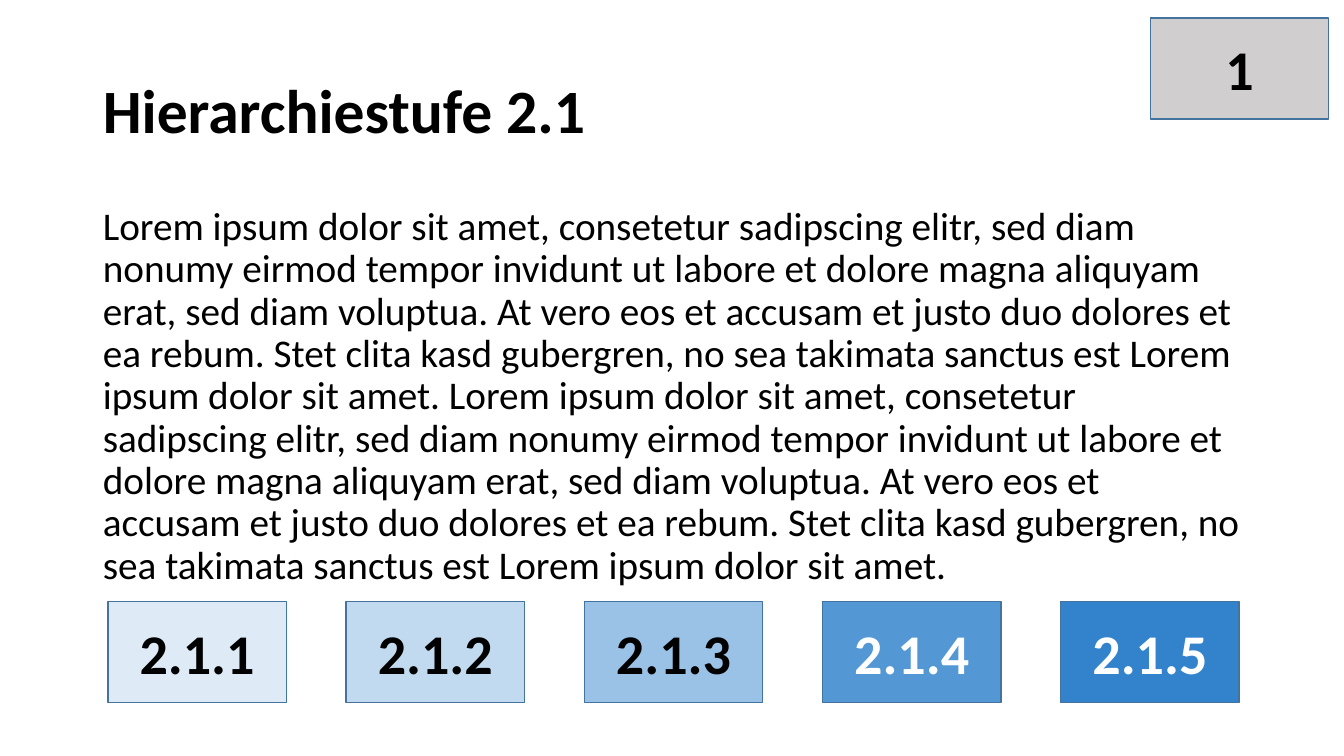
from pptx import Presentation
from pptx.dml.color import RGBColor
from pptx.enum import shapes, text
from pptx.oxml import ns
from pptx.util import Inches, Pt
from lxml import etree

FONT = "Calibri"
BLACK = RGBColor(0x00, 0x00, 0x00)
WHITE = RGBColor(0xFF, 0xFF, 0xFF)
GREY = RGBColor(0xD0, 0xCE, 0xCE)
OUTLINE = RGBColor(0x43, 0x73, 0x9E)
LEVELS = [
    (RGBColor(0xDE, 0xEB, 0xF7), BLACK),
    (RGBColor(0xC2, 0xDA, 0xF0), BLACK),
    (RGBColor(0x9A, 0xC2, 0xE6), BLACK),
    (RGBColor(0x53, 0x97, 0xD5), WHITE),
    (RGBColor(0x32, 0x83, 0xCC), WHITE),
]
LEVEL_LEFT, LEVEL_TOP, LEVEL_PITCH = 1.07, 5.97, 2.3625
BOX_WIDTH, BOX_HEIGHT = 1.77, 1

SECTION = "2.1"
LOREM = (
    "Lorem ipsum dolor sit amet, consetetur sadipscing elitr, sed diam nonumy "
    "eirmod tempor invidunt ut labore et dolore magna aliquyam erat, sed diam "
    "voluptua. At vero eos et accusam et justo duo dolores et ea rebum. Stet "
    "clita kasd gubergren, no sea takimata sanctus est Lorem ipsum dolor sit amet."
)


def write(frame, wording, size, color, bold, align):
    frame.text = wording
    frame.word_wrap = True
    frame.auto_size = text.MSO_AUTO_SIZE.NONE
    paragraph = frame.paragraphs[0]
    paragraph.alignment = align
    font = paragraph.runs[0].font
    font.name, font.size, font.bold = FONT, Pt(size), bold
    font.color.rgb = color
    return paragraph


def fill_placeholder(holder, top, height, wording, size, bold, anchor):
    holder.left, holder.top = Inches(0.92), Inches(top)
    holder.width, holder.height = Inches(11.5), Inches(height)
    paragraph = write(holder.text_frame, wording, size, BLACK, bold, text.PP_ALIGN.LEFT)
    holder.text_frame.vertical_anchor = anchor
    paragraph.line_spacing = 0.9
    return paragraph


def remove_bullet(paragraph):
    properties = paragraph._p.get_or_add_pPr()
    properties.set("marL", "0")
    properties.set("indent", "0")
    etree.SubElement(properties, ns.qn("a:buNone"))


def add_box(slide, left, top, label, fill, color):
    box = slide.shapes.add_shape(
        shapes.MSO_SHAPE.RECTANGLE,
        Inches(left), Inches(top), Inches(BOX_WIDTH), Inches(BOX_HEIGHT),
    )
    box.shadow.inherit = False
    box.fill.solid()
    box.fill.fore_color.rgb = fill
    box.line.color.rgb = OUTLINE
    box.line.width = Pt(1)
    write(box.text_frame, label, 40, color, True, text.PP_ALIGN.CENTER)
    box.text_frame.vertical_anchor = text.MSO_ANCHOR.MIDDLE


def main():
    deck = Presentation()
    deck.slide_width, deck.slide_height = Inches(13.33), Inches(7.5)
    slide = deck.slides.add_slide(deck.slide_layouts[1])

    fill_placeholder(slide.shapes.title, 0.4, 1.45, f"Hierarchiestufe {SECTION}",
                     44, True, text.MSO_ANCHOR.MIDDLE)
    description = fill_placeholder(slide.placeholders[1], 2, 4.76, f"{LOREM} {LOREM}",
                                   28, False, text.MSO_ANCHOR.TOP)
    description.space_before = Pt(10)
    remove_bullet(description)

    for index, (fill, color) in enumerate(LEVELS):
        add_box(slide, LEVEL_LEFT + index * LEVEL_PITCH, LEVEL_TOP,
                f"{SECTION}.{index + 1}", fill, color)
    add_box(slide, 11.41, 0.18, "1", GREY, BLACK)

    deck.save("out.pptx")


if __name__ == "__main__":
    main()
